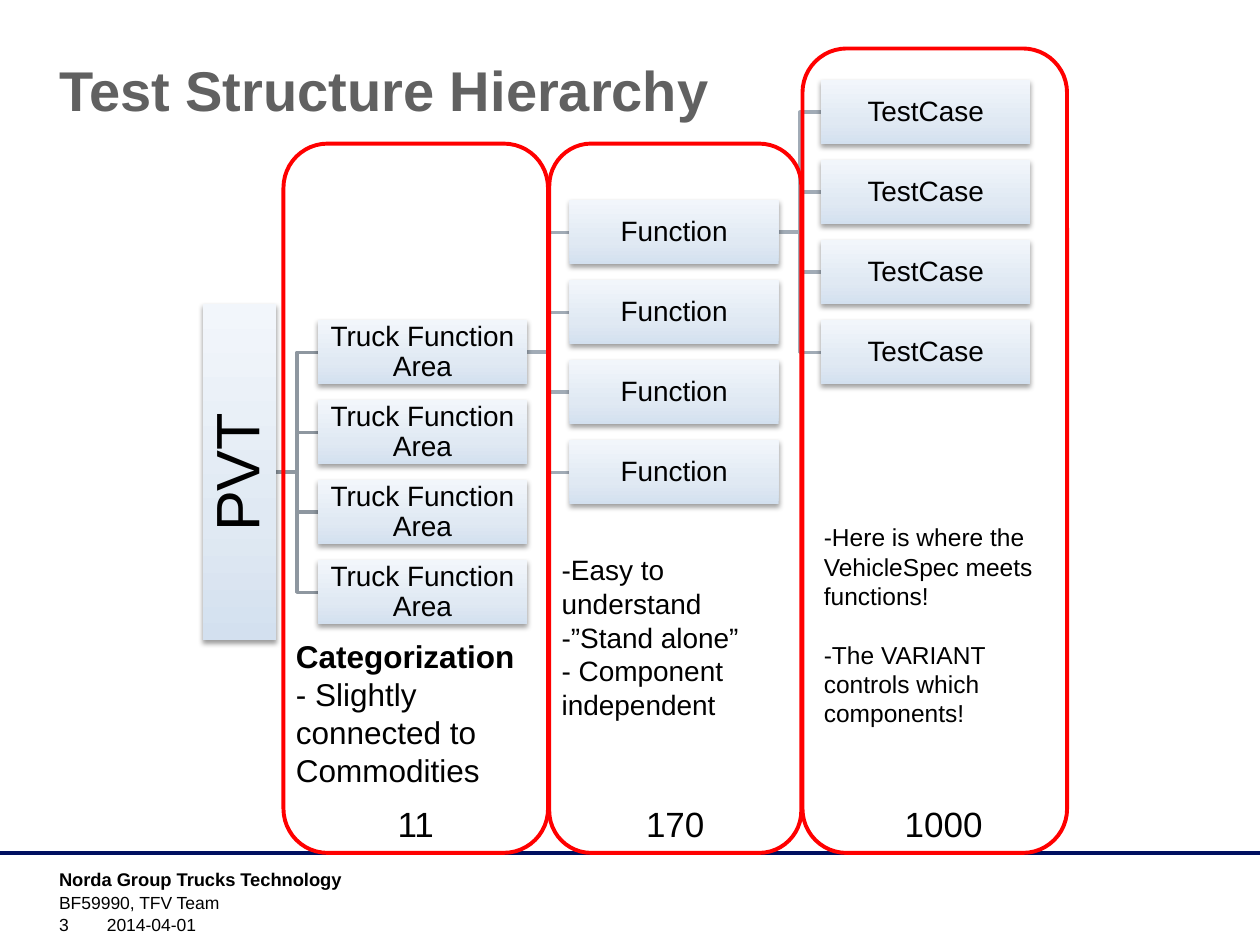
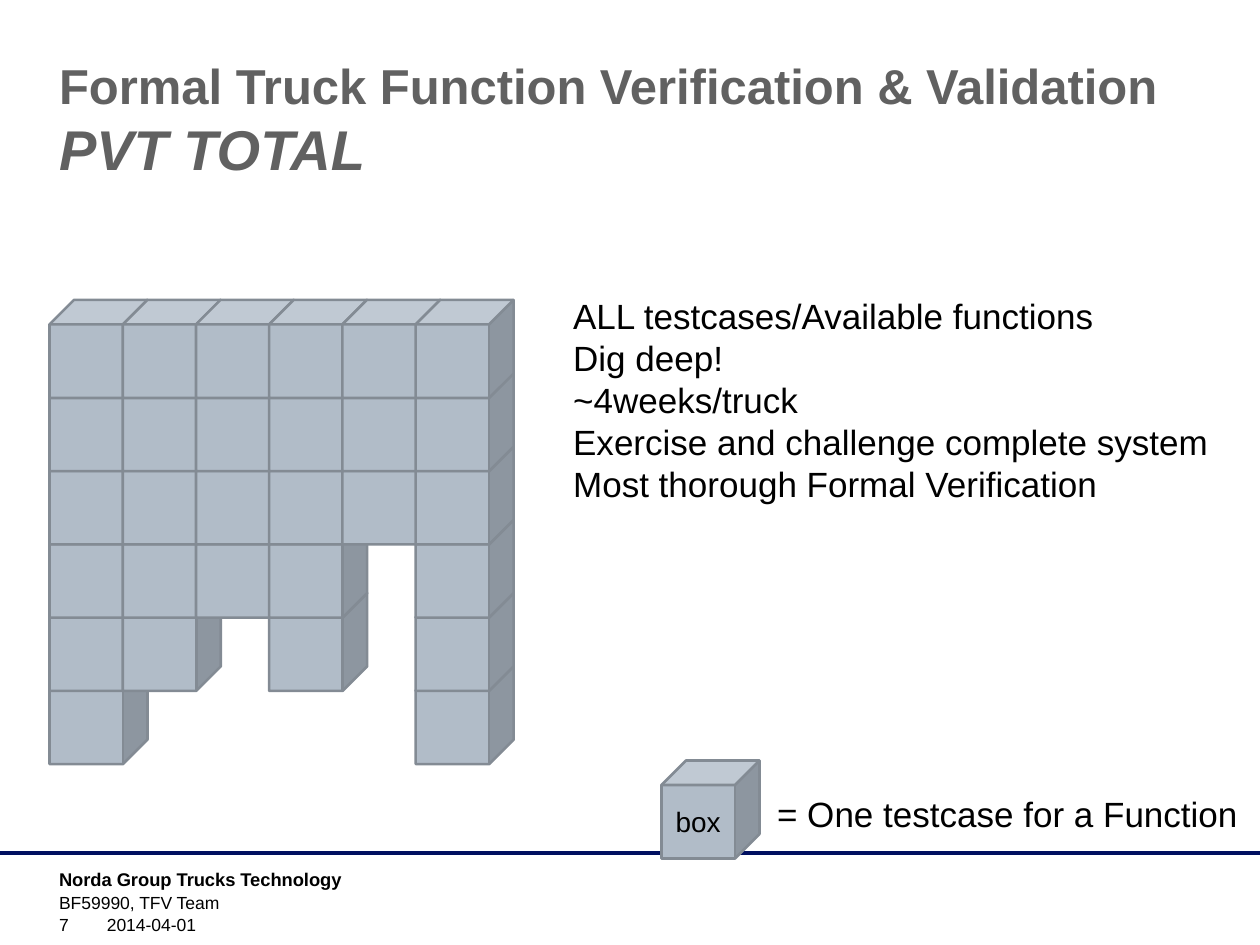
from dataclasses import dataclass

import lxml.etree
import pptx
import pptx.dml.color
import pptx.enum.shapes
import pptx.enum.text
import pptx.oxml.ns
import pptx.util

Pt = pptx.util.Pt
qn = pptx.oxml.ns.qn
Preset = pptx.enum.shapes.MSO_SHAPE
Align = pptx.enum.text.PP_ALIGN
Anchor = pptx.enum.text.MSO_ANCHOR


@dataclass(frozen=True)
class Theme:
    font: str = "Arial"
    text: str = "000000"
    title: str = "616161"
    rule: str = "000F60"
    panel: str = "FF0000"
    first_link: str = "8E97A0"
    link: str = "A1ABB6"
    cube: str = "B1BCC8"
    cube_edge: str = "838B94"
    box_stops: tuple = ((0, "D3E0EF"), (35, "E0E9F3"), (100, "F2F6FB"))
    title_size: float = 32
    long_title_size: float = 28
    root_size: float = 35
    body_size: float = 20
    box_size: float = 16
    brand_size: float = 10.5
    footer_size: float = 10


THEME = Theme()

PAGE_WIDTH, PAGE_HEIGHT = 720, 540
RULE_TOP = 487.4
MARGIN = 26.7

ROOT_CENTER = 269.9
ROOT_LEFT, ROOT_WIDTH, ROOT_HEIGHT = 116, 41.8, 192
LEVEL_LEFT, LEVEL_STEP = 181.6, 143.8
BOX_WIDTH, BOX_HEIGHT, BOX_STEP = 119.6, 36.6, 45.72
CHILDREN = 4

CUBE_SIZE = 56
CUBE_LEFT, CUBE_TOP = 28.3, 171.4
CUBE_STEP = 41.85
STACK_HEIGHTS = (6, 5, 4, 5, 3, 6)


@dataclass(frozen=True)
class Line:
    text: str
    size: float
    bold: bool = False
    italic: bool = False
    before: float = 0


@dataclass(frozen=True)
class Panel:
    left: float
    top: float
    width: float
    note_left: float
    note_top: float
    notes: tuple
    count: str


def rgb(value):
    return pptx.dml.color.RGBColor.from_string(value)


def write(frame, lines, color=THEME.text, align=Align.LEFT, anchor=Anchor.TOP, spacing=None):
    frame.word_wrap = True
    frame.vertical_anchor = anchor
    for index, line in enumerate(lines):
        para = frame.paragraphs[0] if index == 0 else frame.add_paragraph()
        para.text = line.text
        para.alignment = align
        if spacing:
            para.line_spacing = spacing
        if line.before:
            para.space_before = Pt(line.before)
        para.font.name = THEME.font
        para.font.size = Pt(line.size)
        para.font.bold = line.bold
        para.font.italic = line.italic
        para.font.color.rgb = rgb(color)


def add_text(page, left, top, width, height, lines, **style):
    box = page.shapes.add_textbox(Pt(left), Pt(top), Pt(width), Pt(height))
    write(box.text_frame, lines, **style)


def add_preset(page, preset, left, top, width, height):
    shape = page.shapes.add_shape(preset, Pt(left), Pt(top), Pt(width), Pt(height))
    shape.shadow.inherit = False
    return shape


def outline(shape, color, weight):
    shape.line.color.rgb = rgb(color)
    shape.line.width = Pt(weight)


def add_footer(page, number):
    rule = page.shapes.add_connector(
        pptx.enum.shapes.MSO_CONNECTOR.STRAIGHT, 0, Pt(RULE_TOP), Pt(PAGE_WIDTH), Pt(RULE_TOP))
    outline(rule, THEME.rule, 2)
    lxml.etree.SubElement(rule._element.spPr, qn("a:effectLst"))
    size = THEME.footer_size
    add_text(page, MARGIN, 492.5, 252, 17.3,
             [Line("Norda Group Trucks Technology", THEME.brand_size, bold=True)])
    add_text(page, MARGIN, 506.2, 541, 17.3, [Line("BF59990, TFV Team", size)])
    add_text(page, MARGIN, 521.3, 39.6, 16.6, [Line(number, size)], anchor=Anchor.BOTTOM)
    add_text(page, 54, 521.3, 189, 16.6, [Line("2014-04-01", size)], anchor=Anchor.BOTTOM)


def add_page(deck, number, title_lines):
    page = deck.slides.add_slide(deck.slide_layouts[6])
    add_footer(page, number)
    add_text(page, MARGIN, 28.1, 648, 90, title_lines, color=THEME.title)
    return page


def add_link(page, start_x, start_y, end_x, end_y, color):
    """Draw an elbow line from a parent box to one of its children."""
    middle = (start_x + end_x) / 2
    builder = page.shapes.build_freeform(Pt(start_x), Pt(start_y))
    points = ((middle, start_y), (middle, end_y), (end_x, end_y))
    builder.add_line_segments([(Pt(x), Pt(y)) for x, y in points], close=False)
    link = builder.convert_to_shape()
    link.shadow.inherit = False
    link.fill.background()
    outline(link, color, 2)


def add_shade(shape):
    """Give a box its gradient and soft drop shadow."""
    shape.fill.gradient()
    shape.fill.gradient_angle = 90
    properties = shape._element.spPr
    stops = properties.find(".//" + qn("a:gsLst"))
    for stop in list(stops):
        stops.remove(stop)
    for position, color in THEME.box_stops:
        stop = lxml.etree.SubElement(stops, qn("a:gs"), pos=str(position * 1000))
        lxml.etree.SubElement(stop, qn("a:srgbClr"), val=color)
    shadow = lxml.etree.SubElement(
        properties.find(qn("a:effectLst")), qn("a:outerShdw"),
        blurRad=str(Pt(3.1)), dist=str(Pt(1.6)), dir="5400000", rotWithShape="0")
    color = lxml.etree.SubElement(shadow, qn("a:srgbClr"), val="000000")
    lxml.etree.SubElement(color, qn("a:alpha"), val="38000")


def add_tree_box(page, left, center, width, height, text, size, upright=False):
    box = add_preset(page, Preset.RECTANGLE, left, center - height / 2, width, height)
    box.line.fill.background()
    add_shade(box)
    frame = box.text_frame
    frame.margin_left = frame.margin_right = frame.margin_top = frame.margin_bottom = Pt(1)
    write(frame, [Line(text, size)], align=Align.CENTER, anchor=Anchor.MIDDLE, spacing=0.9)
    if upright:
        frame._txBody.bodyPr.set("vert", "vert270")


def add_tree(page, root, levels):
    """Each level is centred on its parent, the first box of the level before."""
    columns = []
    parent_right, parent_center = ROOT_LEFT + ROOT_WIDTH, ROOT_CENTER
    for depth, text in enumerate(levels):
        left = LEVEL_LEFT + depth * LEVEL_STEP
        first = parent_center - (CHILDREN - 1) / 2 * BOX_STEP
        centers = [first + row * BOX_STEP for row in range(CHILDREN)]
        color = THEME.link if depth else THEME.first_link
        for center in centers:
            add_link(page, parent_right, parent_center, left, center, color)
        columns.append((left, centers, text))
        parent_right, parent_center = left + BOX_WIDTH, first

    add_tree_box(page, ROOT_LEFT, ROOT_CENTER, ROOT_WIDTH, ROOT_HEIGHT, root,
                 THEME.root_size, upright=True)
    for left, centers, text in columns:
        for center in centers:
            add_tree_box(page, left, center, BOX_WIDTH, BOX_HEIGHT, text, THEME.box_size)


def add_panel(page, panel):
    frame = add_preset(page, Preset.ROUNDED_RECTANGLE, panel.left, panel.top,
                       panel.width, RULE_TOP - panel.top)
    frame.fill.background()
    outline(frame, THEME.panel, 2.25)
    add_text(page, panel.note_left, panel.note_top, panel.width, 100, panel.notes)
    add_text(page, panel.note_left, 455.3, panel.width, 31.5,
             [Line(panel.count, THEME.body_size)], align=Align.CENTER)


def add_cube(page, left, top, label=None):
    cube = add_preset(page, Preset.CUBE, left, top, CUBE_SIZE, CUBE_SIZE)
    cube.fill.solid()
    cube.fill.fore_color.rgb = rgb(THEME.cube)
    outline(cube, THEME.cube_edge, 1.5)
    if label:
        write(cube.text_frame, [Line(label, THEME.box_size)],
              align=Align.CENTER, anchor=Anchor.MIDDLE)


def add_cube_wall(page):
    """Stack from the bottom row up so that nearer cubes cover the ones behind."""
    for row in reversed(range(max(STACK_HEIGHTS))):
        for column, height in enumerate(STACK_HEIGHTS):
            if row < height:
                add_cube(page, CUBE_LEFT + column * CUBE_STEP, CUBE_TOP + row * CUBE_STEP)


def build_hierarchy(deck):
    page = add_page(deck, "3", [Line("Test Structure Hierarchy", THEME.title_size, bold=True)])
    add_tree(page, "PVT", ("Truck Function Area", "Function", "TestCase"))
    panels = (
        Panel(162, 82.1, 151.2, 162, 360.7,
              (Line("Categorization", 18, bold=True),
               Line("- Slightly connected to Commodities", 18)), "11"),
        Panel(313.9, 82.1, 144, 313.9, 312.5,
              (Line("-Easy to understand", 16),
               Line("-”Stand alone”", 16),
               Line("- Component independent", 16)), "170"),
        Panel(458.6, 27.7, 151.2, 463.7, 295,
              (Line("-Here is where the VehicleSpec meets functions!", 14),
               Line("-The VARIANT controls which components!", 14, before=16.5)), "1000"),
    )
    for panel in panels:
        add_panel(page, panel)


def build_total(deck):
    page = add_page(deck, "7", [
        Line("Formal Truck Function Verification & Validation", THEME.long_title_size, bold=True),
        Line("PVT TOTAL", THEME.title_size, bold=True, italic=True),
    ])
    add_cube(page, 378, 434.6, "box")
    add_text(page, 437, 449.3, 282.5, 31.5,
             [Line("= One testcase for a Function", THEME.body_size)])
    facts = ("ALL testcases/Available functions", "Dig deep!", "~4weeks/truck",
             "Exercise and challenge complete system", "Most thorough Formal Verification")
    add_text(page, 320.4, 164.9, 385.2, 128, [Line(fact, THEME.body_size) for fact in facts])
    add_cube_wall(page)


def main():
    deck = pptx.Presentation()
    deck.slide_width, deck.slide_height = Pt(PAGE_WIDTH), Pt(PAGE_HEIGHT)
    build_hierarchy(deck)
    build_total(deck)
    deck.save("out.pptx")


if __name__ == "__main__":
    main()
